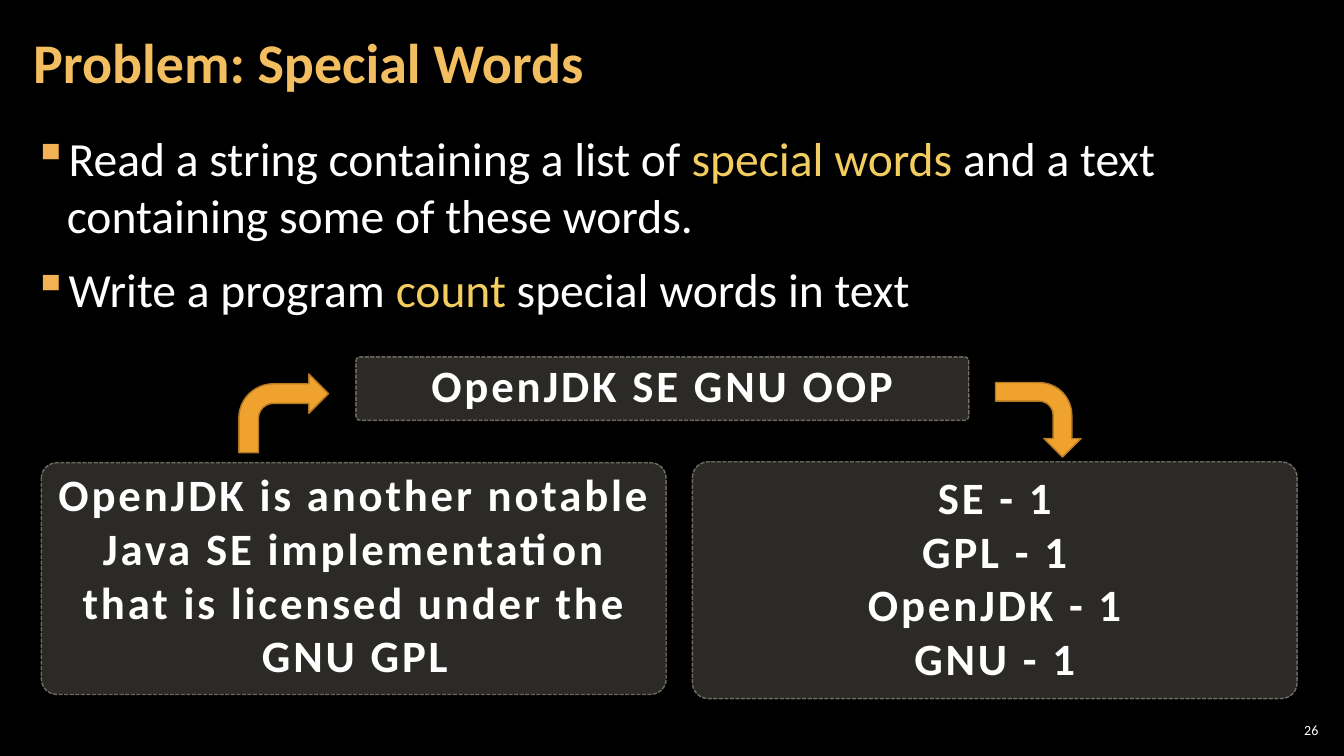
from lxml.etree import SubElement
from pptx import Presentation
from pptx.dml.color import RGBColor
from pptx.enum.dml import MSO_LINE
from pptx.enum.shapes import MSO_SHAPE
from pptx.enum.text import MSO_ANCHOR, PP_ALIGN
from pptx.oxml.ns import qn
from pptx.util import Pt

WHITE, GOLD = "FFFFFF", "F3CD60"
TITLE = "Problem: Special Words"
NUMBER = "26"
BULLETS = [
    [("Read a string containing a list of ", WHITE), ("special words", GOLD),
     (" and a text containing some of these words.", WHITE)],
    [("Write a program ", WHITE), ("count", GOLD),
     (" special words in text", WHITE)],
]
# panel box, text box, lines
PANELS = [
    ((29.5, 330.5, 446.4, 165.6), (31, 329.8, 445, 162.7),
     ["OpenJDK is another notable Java SE implementation "
      "that is licensed under the GNU GPL"]),
    ((494.6, 329.8, 432, 169.2), (494.6, 331.9, 432, 162.7),
     ["SE - 1", "GPL - 1", "OpenJDK - 1", "GNU - 1"]),
    ((254.2, 254.9, 437.8, 45.4), (254.2, 252, 437.8, 46),
     ["OpenJDK SE GNU OOP"]),
]
# box, rotation
ARROWS = [((170.6, 267.1, 64.1, 56.2), 0), ((715, 269.3, 53.3, 61.2), 90)]

deck = Presentation()
deck.slide_width, deck.slide_height = Pt(960), Pt(540)
slide = deck.slides.add_slide(deck.slide_layouts[6])


def paint(fill, color, alpha=None):
    """Fill solid, with an optional opacity in percent."""
    fill.solid()
    fill.fore_color.rgb = RGBColor.from_string(color)
    if alpha is not None:
        tone = fill._xPr.find(qn("a:solidFill"))[0]
        SubElement(tone, qn("a:alpha"), val=str(alpha * 1000))


def add_text(box, lines, size, bold=False, align=PP_ALIGN.LEFT,
             pads=(7.2, 3.6), anchor=MSO_ANCHOR.TOP, gap=0, mark=None, spc=0):
    """Add a text box; each line is a list of (text, color) runs."""
    frame = slide.shapes.add_textbox(*map(Pt, box)).text_frame
    frame.word_wrap = True
    frame.vertical_anchor = anchor
    frame.margin_left = frame.margin_right = Pt(pads[0])
    frame.margin_top = frame.margin_bottom = Pt(pads[1])
    for i, line in enumerate(lines):
        para = frame.paragraphs[0] if i == 0 else frame.add_paragraph()
        para.alignment = align
        para.space_before = Pt(gap if i else 0)
        para.space_after = Pt(gap)
        if mark:
            add_mark(para, mark)
        para.font.size, para.font.bold = Pt(size), bold
        para.font.name = "Calibri"
        for text, color in line:
            run = para.add_run()
            run.text = text
            paint(run.font.fill, color)
            if spc:
                run._r.get_or_add_rPr().set("spc", str(spc * 100))
    return frame


def add_mark(para, color):
    """Give a paragraph a square bullet and a hanging indent."""
    props = para._p.get_or_add_pPr()
    props.set("marL", str(Pt(24)))
    props.set("indent", str(-Pt(24)))
    SubElement(SubElement(props, qn("a:buClr")), qn("a:srgbClr"), val=color)
    SubElement(props, qn("a:buChar"), char="▪")


def add_form(kind, box, fill, line, alpha=None, edge=None):
    form = slide.shapes.add_shape(kind, *map(Pt, box))
    form.shadow.inherit = False
    paint(form.fill, fill, alpha)
    paint(form.line.fill, line, edge)
    form.line.width = Pt(1)
    return form


paint(slide.background.fill, "000000")
add_text((15.1, 89.3, 929.5, 438.5), BULLETS, 34, pads=(8.6, 2.9),
         gap=6, mark="F2B254")
add_text((910.8, 514.1, 33.8, 15.1), [[(NUMBER, WHITE)]], 10,
         align=PP_ALIGN.RIGHT, pads=(2.9, 2.9), anchor=MSO_ANCHOR.MIDDLE)
head = add_text((15.1, 2.9, 753.8, 87.1), [[(TITLE, "F3BE60")]], 40,
                bold=True, pads=(8.6, 2.9), anchor=MSO_ANCHOR.MIDDLE)
head.paragraphs[0].line_spacing = 0.9

for box, area, lines in PANELS:
    panel = add_form(MSO_SHAPE.ROUNDED_RECTANGLE, box, "D9D5C7", "C7BFAC",
                     alpha=20, edge=50)
    panel.adjustments[0] = 0.067
    panel.line.dash_style = MSO_LINE.SQUARE_DOT
    add_text(area, [[(line, WHITE)] for line in lines], 32, bold=True,
             align=PP_ALIGN.CENTER, spc=2)

for box, turn in ARROWS:
    arrow = add_form(MSO_SHAPE.BENT_ARROW, box, "F0A22E", "B27822")
    arrow.rotation = turn

deck.save("out.pptx")
